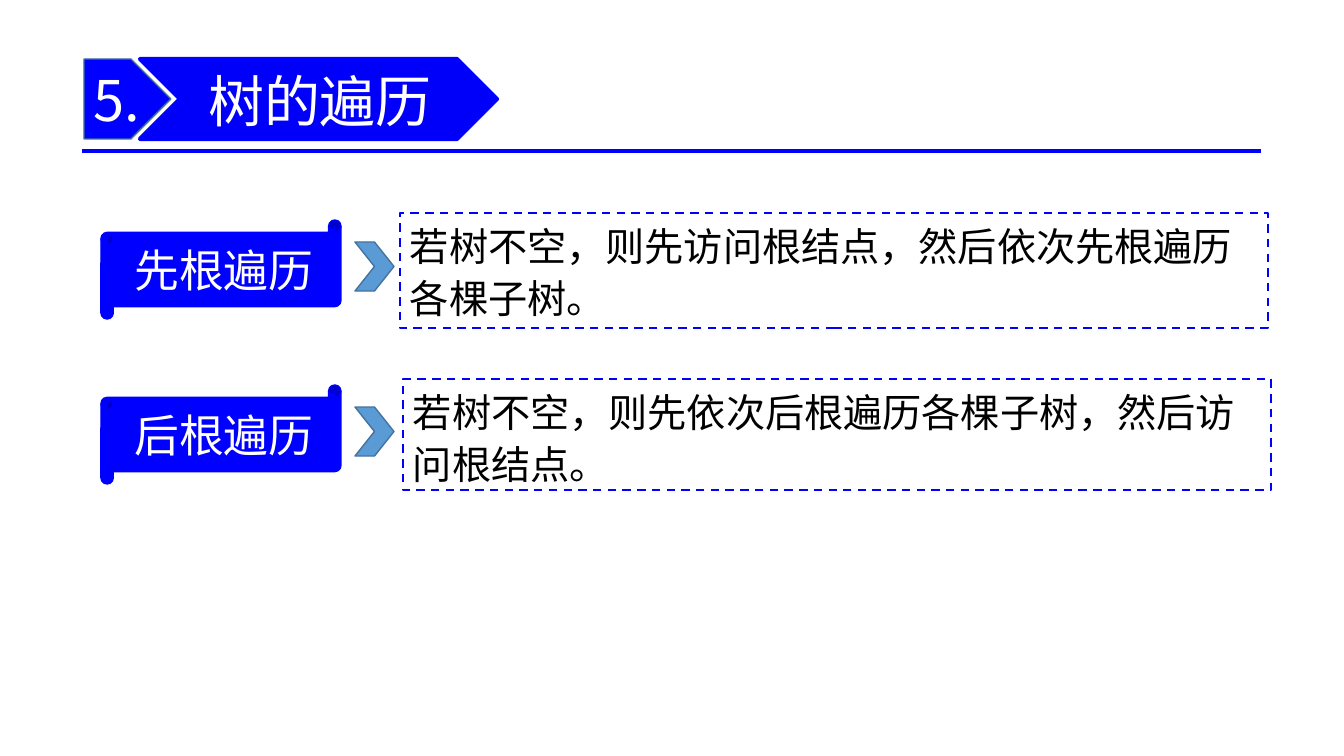
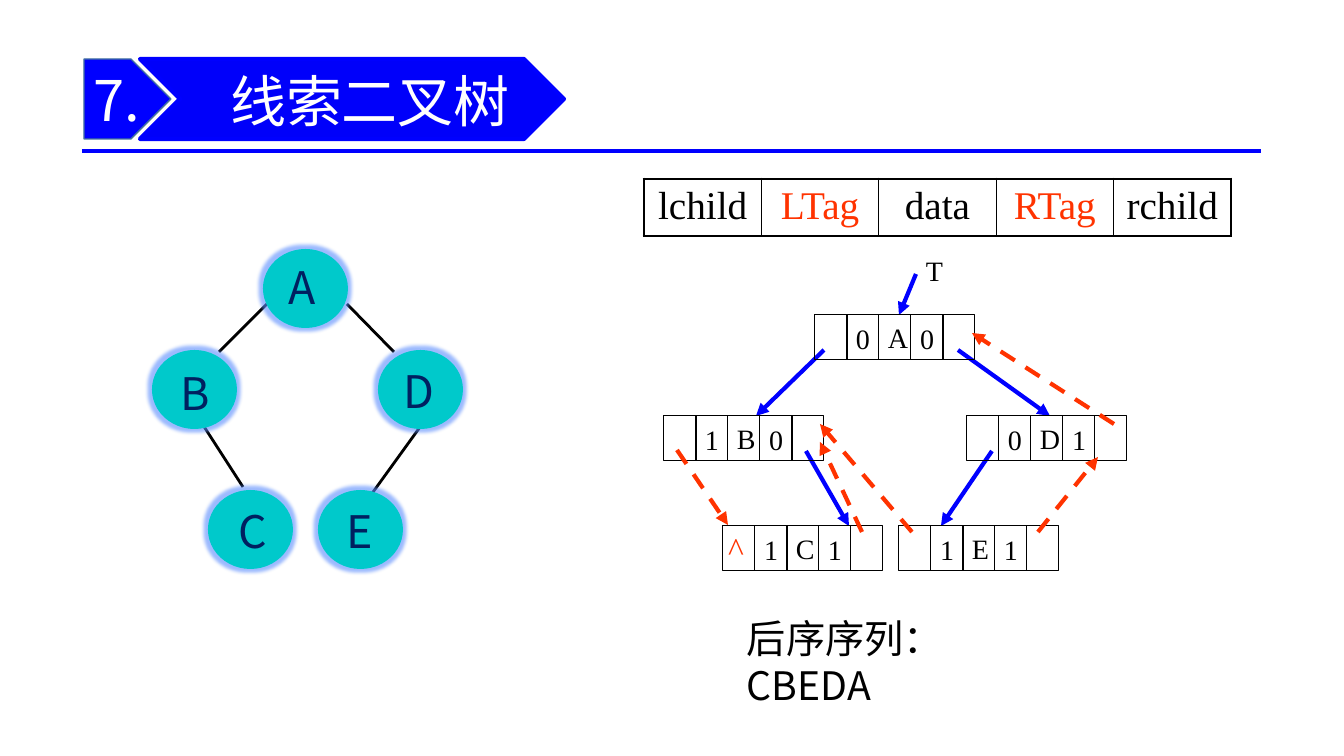
from lxml.etree import SubElement
from pptx import Presentation
from pptx.dml.color import RGBColor
from pptx.enum.dml import MSO_LINE
from pptx.enum.shapes import MSO_CONNECTOR, MSO_SHAPE as SHAPE
from pptx.enum.text import MSO_ANCHOR as ANCHOR, MSO_AUTO_SIZE, PP_ALIGN as ALIGN
from pptx.oxml.ns import qn
from pptx.util import Pt

PX = 12192000 / 1344  # EMU per px
BLUE = RGBColor(0x00, 0x00, 0xFF)
BAND = RGBColor(0x00, 0x00, 0xFA)
STEEL = RGBColor(0x5B, 0x9B, 0xD5)
EDGE = RGBColor(0x43, 0x73, 0x9E)
TEAL = RGBColor(0x00, 0xC9, 0xCB)
NAVY = RGBColor(0x00, 0x20, 0x60)
RED = RGBColor(0xFF, 0x33, 0x00)
BLACK = RGBColor(0x00, 0x00, 0x00)
WHITE = RGBColor(0xFF, 0xFF, 0xFF)
SANS = "Noto Sans CJK SC"
SERIF = "Times New Roman"


def write(tf, text, size=20, color=BLACK, font=SANS, align=ALIGN.LEFT,
          anchor=ANCHOR.TOP, inset=(10, 5, 10, 5), spacing=None):
    """Fill a text frame with one formatted paragraph."""
    tf.word_wrap = True
    tf.auto_size = MSO_AUTO_SIZE.NONE
    tf.vertical_anchor = anchor
    tf.margin_left, tf.margin_top, tf.margin_right, tf.margin_bottom = (
        round(v * PX) for v in inset)
    p = tf.paragraphs[0]
    p.alignment = align
    p.line_spacing = spacing
    r = p.add_run()
    r.text = text
    r.font.size = Pt(size)
    r.font.name = font
    r.font.color.rgb = color
    SubElement(r._r.get_or_add_rPr(), qn("a:ea"), typeface=font)


def add(s, kind, *place, fill=None, line=None, weight=1, dash=False, arrow=False):
    """Add a "text" box, a "line" (x1, y1, x2, y2) or a preset shape."""
    place = [round(v * PX) for v in place]
    if kind == "text":
        return s.shapes.add_textbox(*place)
    if kind == "line":
        sp = s.shapes.add_connector(MSO_CONNECTOR.STRAIGHT, *place)
        SubElement(sp.element.spPr, qn("a:effectLst"))
    else:
        sp = s.shapes.add_shape(kind, *place)
        sp.shadow.inherit = False
        if fill is None:
            sp.fill.background()
        else:
            sp.fill.solid()
            sp.fill.fore_color.rgb = fill
    if line is None:
        sp.line.fill.background()
    else:
        sp.line.color.rgb = line
        sp.line.width = Pt(weight)
    if dash:
        sp.line.dash_style = MSO_LINE.DASH
    if arrow:
        SubElement(sp.element.spPr.find(qn("a:ln")), qn("a:tailEnd"), type="triangle")
    return sp


prs = Presentation()
prs.slide_width, prs.slide_height = round(1344 * PX), round(756 * PX)
layout = prs.slide_layouts[5]

# Shared header: number, band and title
slides = []
for number, title, band_w, title_x, title_w in [
        ("5.", "树的遍历", 357, 197, 242),
        ("7.", "线索二叉树", 424, 183, 370)]:
    s = prs.slides.add_slide(layout)
    slides.append(s)
    sp = add(s, SHAPE.PENTAGON, 84, 59, 87, 80, fill=BLUE, line=EDGE)
    write(sp.text_frame, number, size=40, color=WHITE, anchor=ANCHOR.MIDDLE,
          inset=(10, 5, 0, 5))
    add(s, SHAPE.CHEVRON, 140, 59, band_w, 80, fill=BAND, line=BLUE, weight=3)
    sp = s.shapes.title
    sp.left, sp.top, sp.width, sp.height = (
        round(v * PX) for v in (title_x, 46, title_w, 109))
    write(sp.text_frame, title, size=40, color=WHITE, align=ALIGN.CENTER,
          anchor=ANCHOR.MIDDLE, inset=(4, 2, 0, 2))
    s.shapes.element.append(sp.element)  # title above its band

# Header rule lives on the layout
rule = add(slides[0], "line", 82, 151, 1261, 151, line=BLUE, weight=3)
layout.shapes.element.append(rule.element)

# Slide 1: traversal definitions
s = slides[0]
for y, name, text, box in [
        (220, "先根遍历", "若树不空，则先访问根结点，然后依次先根遍历各棵子树。",
         (400, 213, 868, 115)),
        (385, "后根遍历", "若树不空，则先依次后根遍历各棵子树，然后访问根结点。",
         (403, 379, 868, 111))]:
    sp = add(s, SHAPE.HORIZONTAL_SCROLL, 101, y, 240, 99, fill=BLUE, line=BLUE)
    write(sp.text_frame, name, size=32, color=WHITE, align=ALIGN.CENTER,
          anchor=ANCHOR.MIDDLE)
    sp = add(s, SHAPE.RECTANGLE, *box, fill=WHITE, line=BLUE, weight=1.5, dash=True)
    write(sp.text_frame, text, size=28, spacing=1.1)
    add(s, SHAPE.CHEVRON, 355, y + 22, 39, 49, fill=STEEL, line=EDGE)

# Slide 2: node structure table
s = slides[1]
fields = ["lchild", "LTag", "data", "RTag", "rchild"]
table = s.shapes.add_table(
    1, len(fields), *(round(v * PX) for v in (644, 179, 587, 57))).table
table.first_row = table.horz_banding = False
for i, field in enumerate(fields):
    cell = table.cell(0, i)
    write(cell.text_frame, field, size=28, font=SERIF, align=ALIGN.CENTER,
          color=RED if "Tag" in field else BLACK)
    cell.margin_left = cell.margin_right = round(2 * PX)
    tcPr = cell._tc.get_or_add_tcPr()
    for side in "LRTB":
        inner = (side == "L" and i > 0) or (side == "R" and i < len(fields) - 1)
        ln = SubElement(tcPr, qn("a:ln" + side), w=str(Pt(1 if inner else 2.25)))
        SubElement(SubElement(ln, qn("a:solidFill")), qn("a:srgbClr"), val=str(BLACK))
    cell.fill.background()

# Binary tree: edges, then nodes with a soft glow
for edge in [(267, 304, 219, 352), (347, 304, 394, 352),
             (203, 425, 243, 487), (423, 423, 368, 499)]:
    add(s, "line", *edge, line=BLACK, weight=2)
for letter, x, y, dx, dy in [
        ("A", 263, 249, 16, 6), ("B", 152, 350, 19, 11), ("D", 378, 350, 16, 9),
        ("E", 318, 490, 19, 9), ("C", 208, 490, 21, 9)]:
    sp = add(s, SHAPE.OVAL, x, y, 85, 79, fill=TEAL)
    glow = SubElement(sp.element.spPr.find(qn("a:effectLst")), qn("a:glow"),
                      rad=str(Pt(5)))
    tint = SubElement(glow, qn("a:srgbClr"), val="5B8DFF")
    SubElement(tint, qn("a:alpha"), val="60000")
    sp = add(s, "text", x + dx, y + dy, 62, 65)
    write(sp.text_frame, letter, size=32, color=NAVY)

# Child pointers
for pointer in [(824, 350, 756, 416), (958, 350, 1050, 416), (806, 451, 849, 526),
                (992, 451, 941, 526), (916, 274, 899, 315)]:
    add(s, "line", *pointer, line=BLUE, weight=3, arrow=True)

# Linked nodes: five cells each, with left tag, data and right tag
CELL, NODE_H = 32, 45
for data, x, y, ltag, rtag in [
        ("A", 815, 315, "0", "0"), ("B", 664, 416, "1", "0"), ("D", 967, 416, "0", "1"),
        ("C", 723, 526, "1", "1"), ("E", 899, 526, "1", "1")]:
    sp = add(s, SHAPE.RECTANGLE, x, y, 5 * CELL, NODE_H, line=BLACK, weight=0.75)
    write(sp.text_frame, data, font=SERIF, anchor=ANCHOR.MIDDLE, inset=(73, 5, 10, 5))
    for i in range(1, 5):
        add(s, "line", x + i * CELL, y, x + i * CELL, y + NODE_H, line=BLACK, weight=0.75)
    for i, tag in [(1, ltag), (3, rtag)]:
        sp = add(s, "text", x + i * CELL - 1, y + 2, 34, 43)
        write(sp.text_frame, tag, font=SERIF, align=ALIGN.CENTER,
              anchor=ANCHOR.MIDDLE, inset=(0, 0, 0, 0))

# Labels
sp = add(s, "text", 916, 249, 40, 43)
write(sp.text_frame, "T", font=SERIF)
sp = add(s, "text", 718, 523, 36, 50)
write(sp.text_frame, "^", size=24, color=RED, font=SERIF, align=ALIGN.CENTER,
      anchor=ANCHOR.MIDDLE)
sp = add(s, "text", 737, 609, 260, 104)
write(sp.text_frame, "后序序列：CBEDA", size=28)

# Threads
for thread in [(677, 450, 728, 525), (862, 532, 820, 442), (912, 532, 820, 424),
               (1038, 532, 1098, 457), (1114, 424, 972, 333)]:
    add(s, "line", *thread, line=RED, weight=3, dash=True, arrow=True)

prs.save("out.pptx")
